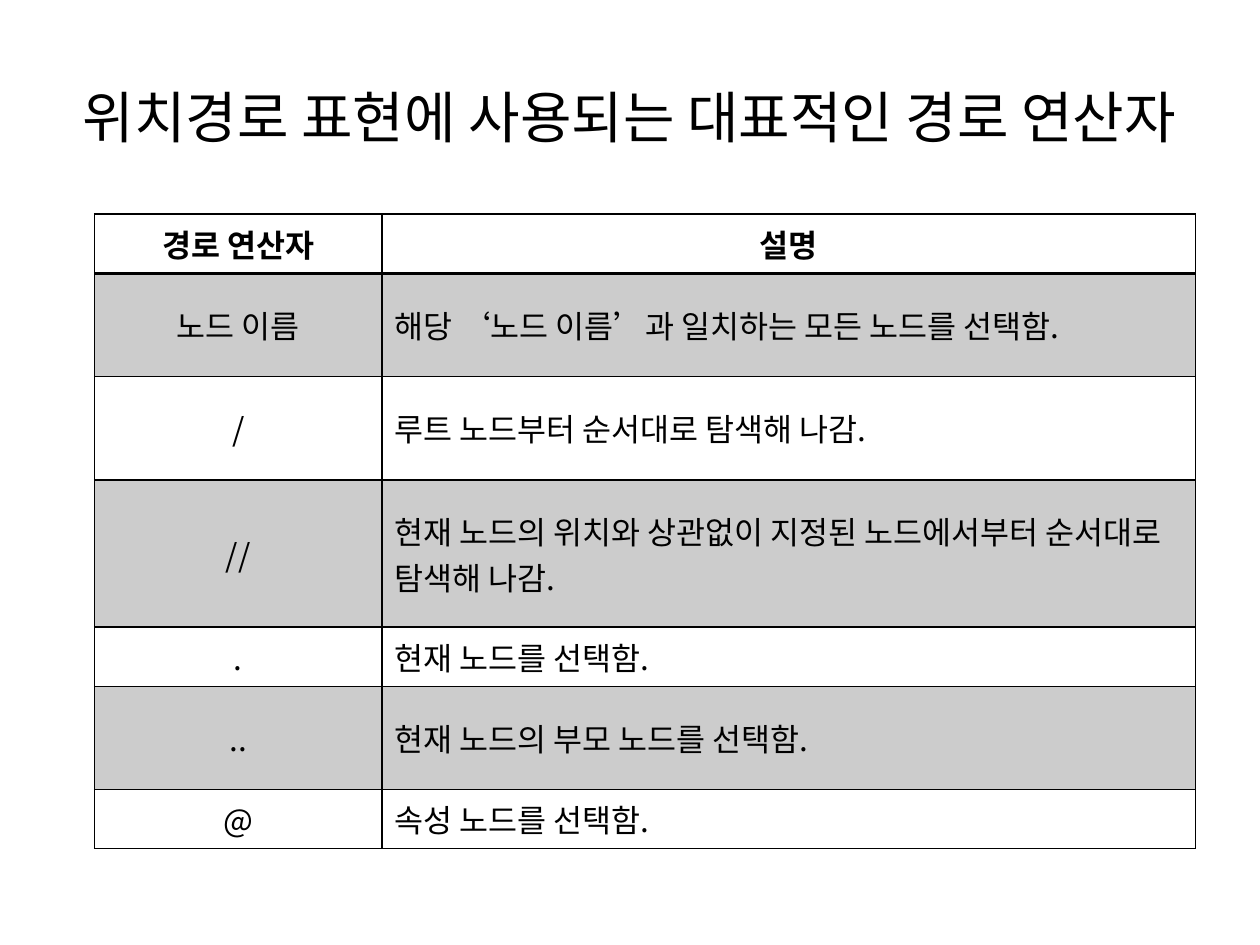
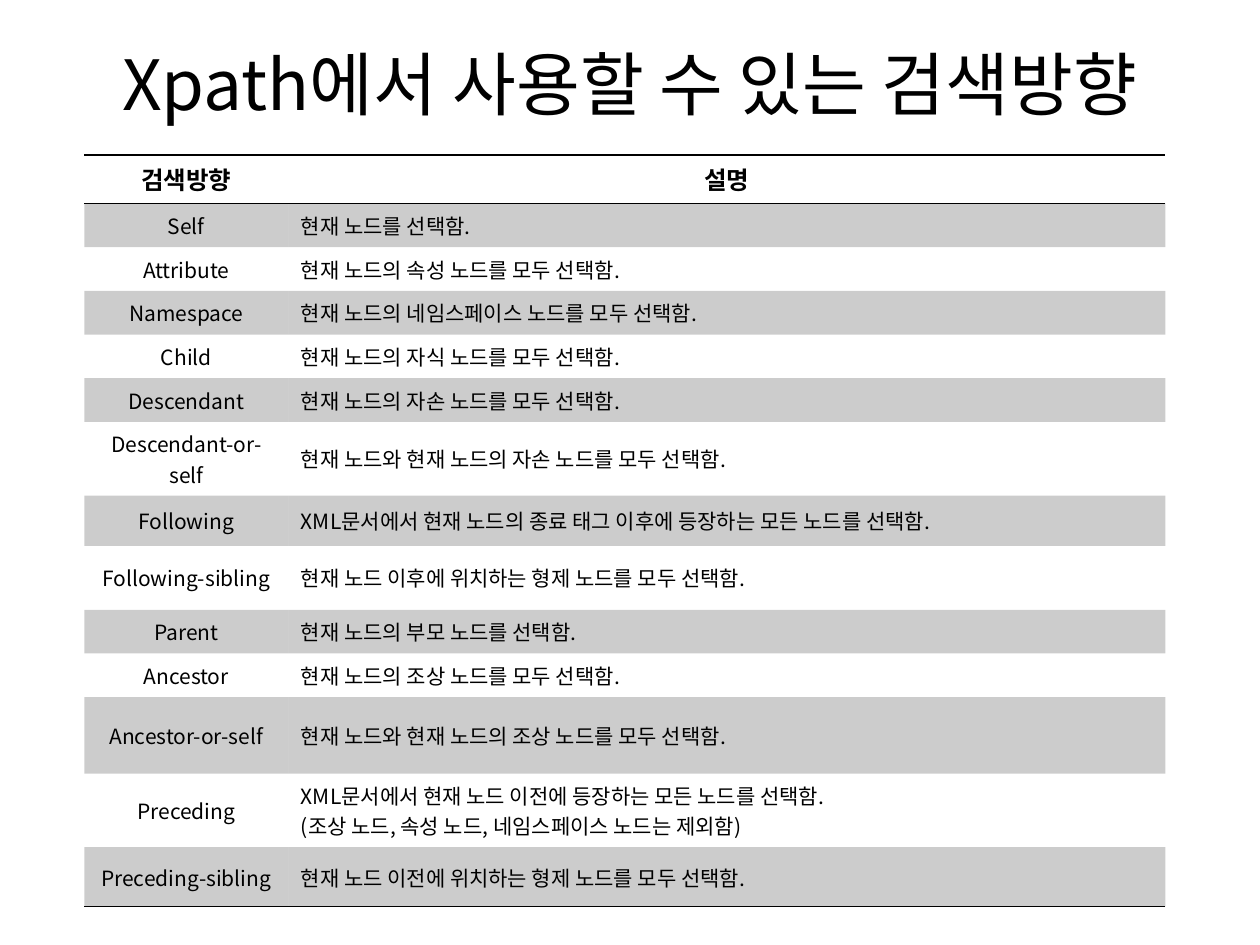
import dataclasses

import lxml.etree
import pptx
import pptx.dml.color
import pptx.enum.text
import pptx.oxml.ns
import pptx.util

Pt = pptx.util.Pt
qn = pptx.oxml.ns.qn
ALIGN = pptx.enum.text.PP_ALIGN
MIDDLE = pptx.enum.text.MSO_ANCHOR.MIDDLE
TITLE_ONLY = 5
PLAIN_TABLE_STYLE = "{2D5ABB26-0587-4C30-8999-92F81FD0307C}"


@dataclasses.dataclass(frozen=True)
class Theme:
    font: str = "Noto Sans CJK KR"
    ink: str = "000000"
    band_opacity: int = 20
    long_title: float = 32
    short_title: float = 39.6
    operator_text: float = 18
    axis_header: float = 14
    axis_text: float = 12


THEME = Theme()

OPERATORS = [
    ("경로 연산자", "설명", 33.8),
    ("노드 이름", "해당 ‘노드 이름’과 일치하는 모든 노드를 선택함.", 59),
    ("/", "루트 노드부터 순서대로 탐색해 나감.", 59),
    ("//", "현재 노드의 위치와 상관없이 지정된 노드에서부터 순서대로 탐색해 나감.", 84.2),
    (".", "현재 노드를 선택함.", 33.8),
    ("..", "현재 노드의 부모 노드를 선택함.", 59),
    ("@", "속성 노드를 선택함.", 33.8),
]

AXES = [
    ("검색방향", "설명", 19.4),
    ("Self", "현재 노드를 선택함.", 25),
    ("Attribute", "현재 노드의 속성 노드를 모두 선택함.", 25),
    ("Namespace", "현재 노드의 네임스페이스 노드를 모두 선택함.", 25),
    ("Child", "현재 노드의 자식 노드를 모두 선택함.", 25),
    ("Descendant", "현재 노드의 자손 노드를 모두 선택함.", 25),
    ("Descendant-or-self", "현재 노드와 현재 노드의 자손 노드를 모두 선택함.", 38.2),
    ("Following", "XML문서에서 현재 노드의 종료 태그 이후에 등장하는 모든 노드를 선택함.", 28.8),
    ("Following-sibling", "현재 노드 이후에 위치하는 형제 노드를 모두 선택함.", 36.5),
    ("Parent", "현재 노드의 부모 노드를 선택함.", 25),
    ("Ancestor", "현재 노드의 조상 노드를 모두 선택함.", 25),
    ("Ancestor-or-self", "현재 노드와 현재 노드의 조상 노드를 모두 선택함.", 43.7),
    ("Preceding", "XML문서에서 현재 노드 이전에 등장하는 모든 노드를 선택함.\n"
     "(조상 노드, 속성 노드, 네임스페이스 노드는 제외함)", 39.6),
    ("Preceding-sibling", "현재 노드 이전에 위치하는 형제 노드를 모두 선택함.", 34),
]


def apply(target, values):
    for name, value in values.items():
        setattr(target, name, value)


def write_text(frame, text, size, align, bold=False):
    frame.text = text
    for para in frame.paragraphs:
        para.alignment = align
        for span in para.runs:
            apply(span.font, {"name": THEME.font, "size": Pt(size), "bold": bold})
            span.font.color.rgb = pptx.dml.color.RGBColor.from_string(THEME.ink)
            east_asian = lxml.etree.Element(qn("a:ea"), typeface=THEME.font)
            span.font._element.find(qn("a:latin")).addnext(east_asian)


def add_page(deck, title, size, left, top, width, height):
    page = deck.slides.add_slide(deck.slide_layouts[TITLE_ONLY])
    box = page.shapes.title
    apply(box, {"left": Pt(left), "top": Pt(top), "width": Pt(width), "height": Pt(height)})
    apply(box.text_frame, {"word_wrap": True, "vertical_anchor": MIDDLE,
                           "auto_size": pptx.enum.text.MSO_AUTO_SIZE.NONE})
    write_text(box.text_frame, title, size, ALIGN.CENTER)
    return page


def add_borders(cell, widths):
    properties = cell._tc.get_or_add_tcPr()
    for side in "LRTB":
        if side in widths:
            line = lxml.etree.SubElement(properties, qn("a:ln" + side), w=str(Pt(widths[side])))
            fill = lxml.etree.SubElement(line, qn("a:solidFill"))
            lxml.etree.SubElement(fill, qn("a:srgbClr"), val=THEME.ink)


def shade(cell):
    cell.fill.solid()
    cell.fill.fore_color.rgb = pptx.dml.color.RGBColor.from_string(THEME.ink)
    color = cell._tc.tcPr.find(qn("a:solidFill")).find(qn("a:srgbClr"))
    lxml.etree.SubElement(color, qn("a:alpha"), val=str(THEME.band_opacity * 1000))


def grid_borders(row, last):
    return {"L": 1, "R": 1, "T": 2 if row == 1 else 1, "B": 2 if row == 0 else 1}


def rule_borders(row, last):
    if row == 0:
        return {"T": 1, "B": 1}
    return {"B": 1} if row == last else {}


def add_banded_table(page, rows, left, top, widths, header_size, body_size, borders):
    heights = [height for *_, height in rows]
    frame = page.shapes.add_table(len(rows), len(widths), Pt(left), Pt(top),
                                  Pt(sum(widths)), Pt(sum(heights)))
    table = frame.table
    apply(table, {"first_row": False, "horz_banding": False})
    table._tbl.tblPr.find(qn("a:tableStyleId")).text = PLAIN_TABLE_STYLE
    for column, width in zip(table.columns, widths):
        column.width = Pt(width)
    for number, (*texts, height) in enumerate(rows):
        table.rows[number].height = Pt(height)
        header = number == 0
        for column, text in enumerate(texts):
            cell = table.cell(number, column)
            cell.vertical_anchor = MIDDLE
            write_text(cell.text_frame, text, header_size if header else body_size,
                       ALIGN.CENTER if header or column == 0 else ALIGN.LEFT, header)
            add_borders(cell, borders(number, len(rows) - 1))
            if number % 2:
                shade(cell)
            else:
                cell.fill.background()


def main():
    deck = pptx.Presentation()
    apply(deck, {"slide_width": Pt(720), "slide_height": Pt(540)})

    page = add_page(deck, "위치경로 표현에 사용되는 대표적인 경로 연산자", THEME.long_title,
                    36, 21.6, 648, 90)
    add_banded_table(page, OPERATORS, 54, 122.4, (164.2, 465.1),
                     THEME.operator_text, THEME.operator_text, grid_borders)

    page = add_page(deck, "Xpath에서 사용할 수 있는 검색방향", THEME.short_title,
                    25.2, 2.2, 669, 90)
    add_banded_table(page, AXES, 48.2, 88.6, (116.6, 501.1),
                     THEME.axis_header, THEME.axis_text, rule_borders)

    deck.save("out.pptx")


if __name__ == "__main__":
    main()
